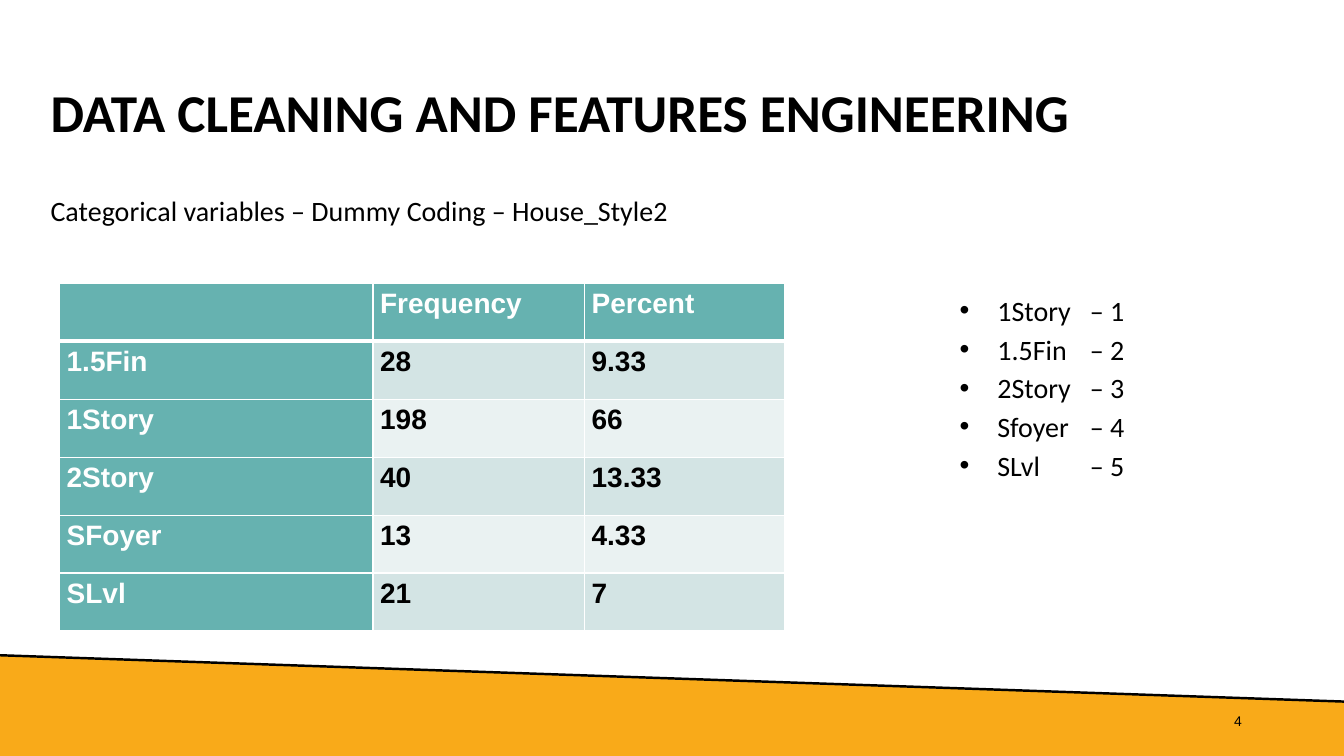
from lxml import etree
from pptx import Presentation
from pptx import util as u
from pptx.dml.color import RGBColor
from pptx.enum import shapes, text
from pptx.oxml import ns

BLACK, WHITE, TEAL, ORANGE = "000000", "FFFFFF", "66B2B0", "F9AA19"
BANDS = ("D3E4E4", "EAF2F2")
FREQUENCIES = (
    ("", "Frequency", "Percent"),
    ("1.5Fin", "28", "9.33"),
    ("1Story", "198", "66"),
    ("2Story", "40", "13.33"),
    ("SFoyer", "13", "4.33"),
    ("SLvl", "21", "7"),
)
CODES = ("1Story", "1.5Fin", "2Story", "Sfoyer", "SLvl")


def color(value):
    """Turn a hex string into a colour."""
    return RGBColor.from_string(value)


def child(parent, tag, **attributes):
    """Append a DrawingML element to a parent."""
    return etree.SubElement(parent, ns.qn(f"a:{tag}"), attributes)


def place(box, left, top, width, height):
    """Set the position and size of a box in centimetres."""
    box.left, box.top = u.Cm(left), u.Cm(top)
    box.width, box.height = u.Cm(width), u.Cm(height)


def write(paragraph, words, size, font="Calibri", ink=BLACK, bold=False):
    """Add one formatted run to a paragraph."""
    run = paragraph.add_run()
    run.text = words
    run.font.size, run.font.name, run.font.bold = u.Pt(size), font, bold
    run.font.color.rgb = color(ink)


def space(paragraph, align, line=1.0, before=0, after=0):
    """Set the alignment and spacing of a paragraph."""
    paragraph.alignment, paragraph.line_spacing = align, line
    paragraph.space_before, paragraph.space_after = u.Pt(before), u.Pt(after)


def prepare(frame, anchor):
    """Make a text frame wrap at a fixed size and return its first paragraph."""
    frame.word_wrap, frame.auto_size = True, text.MSO_AUTO_SIZE.NONE
    frame.vertical_anchor = anchor
    return frame.paragraphs[0]


def add_footer_band(slide):
    """Draw the slanted band with its black upper edge."""
    corners = [(u.Cm(x), u.Cm(y)) for x, y in
               ((-0.03, 16.51), (-0.03, 19.05), (33.91, 19.13), (33.91, 17.68))]
    outline = slide.shapes.build_freeform(*corners[0])
    outline.add_line_segments(corners[1:], close=True)
    band = outline.convert_to_shape()
    band.shadow.inherit = False
    band.fill.solid()
    band.fill.fore_color.rgb = color(ORANGE)
    band.line.fill.background()
    edge = slide.shapes.add_connector(
        shapes.MSO_CONNECTOR.STRAIGHT, *corners[0], *corners[-1])
    edge.line.color.rgb, edge.line.width = color(BLACK), u.Pt(1.75)
    child(edge.element.spPr, "effectLst")


def fill_title(title):
    """Write the slide title."""
    place(title, 1.02, 1.07, 33.43, 3.68)
    heading = prepare(title.text_frame, text.MSO_ANCHOR.MIDDLE)
    space(heading, text.PP_ALIGN.LEFT, 0.9)
    write(heading, "DATA CLEANING AND FEATURES ENGINEERING", 38, bold=True)


def fill_subtitle(subtitle):
    """Write the unbulleted line under the title."""
    place(subtitle, 1.02, 4.22, 23.7, 2.29)
    topic = prepare(subtitle.text_frame, text.MSO_ANCHOR.MIDDLE)
    space(topic, text.PP_ALIGN.LEFT, 0.9, before=10)
    write(topic, "Categorical variables – Dummy Coding – House_Style2", 20)
    properties = topic._p.get_or_add_pPr()
    properties.set("marL", "0")
    properties.set("indent", "0")
    child(properties, "buNone")


def fill_codes(code_list):
    """List each house style with its code at a tab stop."""
    place(code_list, 23.93, 7.14, 13.82, 5.11)
    frame = code_list.text_frame
    item = prepare(frame, text.MSO_ANCHOR.TOP)
    for number, style in enumerate(CODES, 1):
        if number > 1:
            item = frame.add_paragraph()
        space(item, text.PP_ALIGN.JUSTIFY, 1.15,
              after=8 if number == len(CODES) else 0)
        write(item, f"{style}\t– {number}", 20)
        properties = item._p.get_or_add_pPr()
        properties.set("marL", str(u.Cm(0.95)))
        properties.set("indent", str(u.Cm(-0.95)))
        child(properties, "buFont", typeface="Arial")
        child(properties, "buChar", char="•")
        stops = child(properties, "tabLst")
        child(stops, "tab", pos=str(u.Cm(3.28)), algn="l")


def set_borders(cell, top, bottom):
    """Give a cell white borders, with the top and bottom widths in points."""
    properties = cell._tc.get_or_add_tcPr()
    for side, width in (("L", 1), ("R", 1), ("T", top), ("B", bottom)):
        border = child(properties, f"ln{side}", w=str(u.Pt(width)))
        child(child(border, "solidFill"), "srgbClr", val=WHITE)


def add_frequency_table(slide):
    """Add the table of house style frequencies."""
    widths = (7.9, 5.33, 5.03)
    table = slide.shapes.add_table(
        len(FREQUENCIES), len(widths), u.Cm(1.5), u.Cm(7.14),
        u.Cm(sum(widths)), u.Cm(1.46 * len(FREQUENCIES))).table
    for column, width in zip(table.columns, widths):
        column.width = u.Cm(width)
    for r, record in enumerate(FREQUENCIES):
        for c, value in enumerate(record):
            cell = table.cell(r, c)
            is_heading = r == 0 or c == 0
            set_borders(cell, 3 if r == 1 else 1, 3 if r == 0 else 1)
            cell.fill.solid()
            cell.fill.fore_color.rgb = color(
                TEAL if is_heading else BANDS[(r - 1) % 2])
            cell.margin_left = cell.margin_right = u.Cm(0.18)
            cell.margin_top = cell.margin_bottom = 0
            if value:
                entry = cell.text_frame.paragraphs[0]
                space(entry, text.PP_ALIGN.JUSTIFY, 1.15, after=8)
                write(entry, value, 20, "Arial",
                      WHITE if is_heading else BLACK, True)


def add_page_number(slide):
    """Add the page number on the band."""
    box = slide.shapes.add_textbox(
        u.Cm(23.93), u.Cm(17.65), u.Cm(7.62), u.Cm(1.02))
    page = prepare(box.text_frame, text.MSO_ANCHOR.MIDDLE)
    page.alignment = text.PP_ALIGN.RIGHT
    write(page, "4", 10, "Arial")


def main():
    """Build and save the slide."""
    deck = Presentation()
    deck.slide_width, deck.slide_height = u.Cm(33.87), u.Cm(19.05)
    slide = deck.slides.add_slide(deck.slide_layouts[3])
    title, subtitle, code_list = slide.placeholders
    add_footer_band(slide)
    fill_title(title)
    fill_subtitle(subtitle)
    add_page_number(slide)
    add_frequency_table(slide)
    fill_codes(code_list)
    deck.save("out.pptx")


if __name__ == "__main__":
    main()
